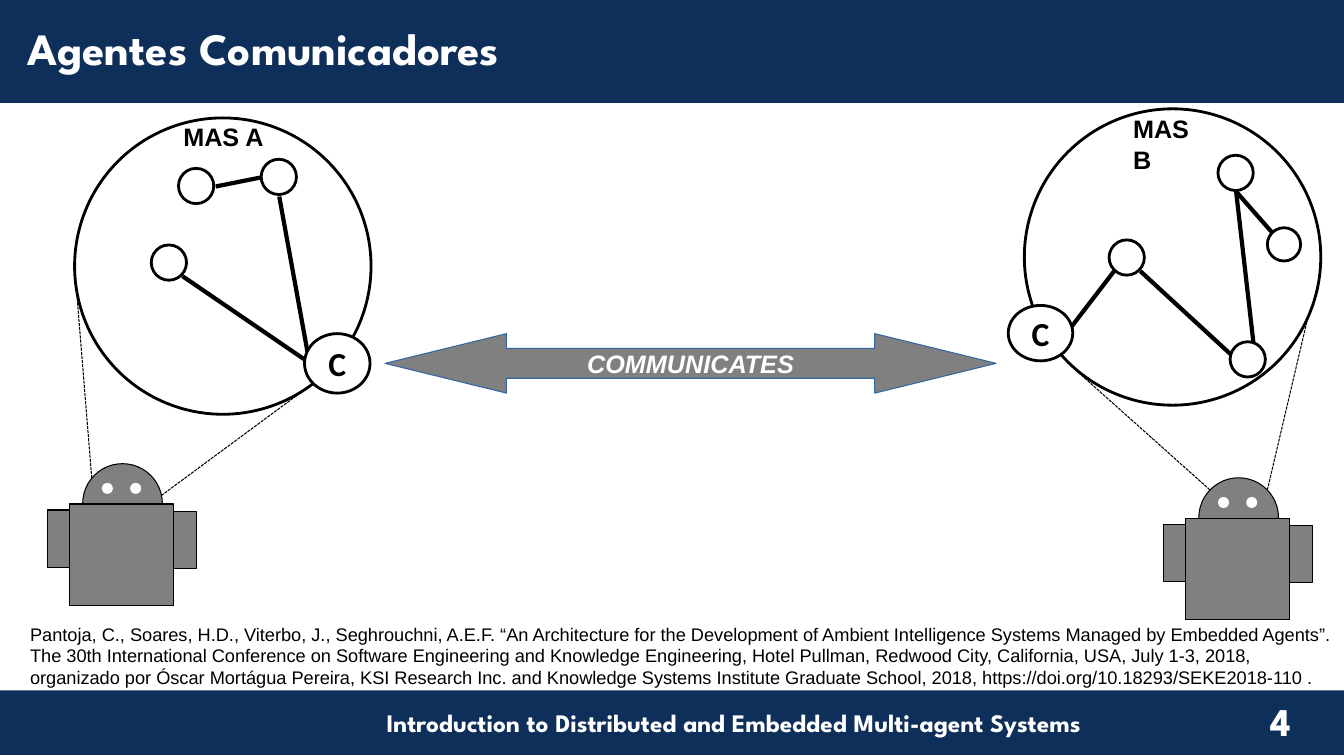
from lxml.etree import SubElement
from pptx import Presentation
from pptx.dml.color import RGBColor
from pptx.enum.dml import MSO_LINE
from pptx.enum.shapes import MSO_CONNECTOR, MSO_SHAPE
from pptx.enum.text import MSO_ANCHOR, PP_ALIGN
from pptx.oxml.ns import qn
from pptx.util import Inches, Pt

COLUMNS, ROWS = 133.3, 75
NAVY, GRAY, WHITE, BLACK = "0F2F5B", "808080", "FFFFFF", "000000"
CIRCLE_SIZE = 29.4
CITATION = (
    "Pantoja, C., Soares, H.D., Viterbo, J., Seghrouchni, A.E.F. “An Architecture for the "
    "Development of Ambient Intelligence Systems Managed by Embedded Agents”. The 30th "
    "International Conference on Software Engineering and Knowledge Engineering, Hotel Pullman, "
    "Redwood City, California, USA, July 1-3, 2018, organizado por Óscar Mortágua Pereira, "
    "KSI Research Inc. and Knowledge Systems Institute Graduate School, 2018, "
    "https://doi.org/10.18293/SEKE2018-110 ."
)


def cells(count):
    return Inches(count / 10)


def color(value):
    return RGBColor.from_string(value)


def write(box, text, size=18, font="Arial", ink=BLACK, bold=True, italic=False,
          align=PP_ALIGN.LEFT, anchor=MSO_ANCHOR.TOP):
    frame = box.text_frame
    frame.word_wrap = True
    frame.vertical_anchor = anchor
    para = frame.paragraphs[0]
    para.alignment = align
    span = para.add_run()
    span.text = text
    span.font.size = Pt(size)
    span.font.name = font
    span.font.bold = bold
    span.font.italic = italic
    span.font.color.rgb = color(ink)


def add_text(page, left, top, width, height, text, **style):
    box = page.shapes.add_textbox(*map(cells, (left, top, width, height)))
    write(box, text, **style)


def add_figure(page, kind, left, top, width, height, fill=WHITE, line=BLACK, weight=2):
    figure = page.shapes.add_shape(kind, *map(cells, (left, top, width, height)))
    figure.shadow.inherit = False
    figure.fill.solid()
    figure.fill.fore_color.rgb = color(fill)
    if line:
        figure.line.color.rgb = color(line)
        figure.line.width = Pt(weight)
    else:
        figure.line.fill.background()
    return figure


def add_link(page, start, end, weight=3, dash=None):
    link = page.shapes.add_connector(MSO_CONNECTOR.STRAIGHT, *map(cells, (*start, *end)))
    link.line.color.rgb = color(BLACK)
    link.line.width = Pt(weight)
    if dash:
        link.line.dash_style = dash
    SubElement(link.element.spPr, qn("a:effectLst"))


def shift(origin, point):
    return origin[0] + point[0], origin[1] + point[1]


def header(page, height):
    add_figure(page, MSO_SHAPE.RECTANGLE, 0, 0, COLUMNS, height, NAVY, None)
    title = page.shapes.title
    title.left, title.top, title.width, title.height = map(cells, (1.7, 1.6, COLUMNS - 1.7, 6.3))
    write(title, "Agentes Comunicadores", size=32, font="League Spartan", ink=WHITE)
    title.element.getparent().append(title.element)


def footer(page, top):
    style = dict(font="League Spartan", ink=WHITE, align=PP_ALIGN.CENTER)
    add_figure(page, MSO_SHAPE.RECTANGLE, 0, top, COLUMNS, 6.4, NAVY, None)
    add_text(page, 22.8, top + 1.2, 100, 4,
             "Introduction to Distributed and Embedded Multi-agent Systems", **style)
    add_text(page, 121.5, top + 0.2, 11, 6.3, "4", size=28, **style)


def robot(page, origin):
    def part(kind, left, top, width, height, fill=GRAY, line=BLACK):
        add_figure(page, kind, *shift(origin, (left, top)), width, height, fill, line, 0.75)

    for left, top in ((0, 4.6), (11.8, 4.7)):
        part(MSO_SHAPE.RECTANGLE, left, top, 3, 5.7)
    part(MSO_SHAPE.OVAL, 3.5, 0, 7.9, 7.9)
    for left in (5.4, 8.2):
        part(MSO_SHAPE.OVAL, left, 1.9, 1.1, 1.1, WHITE, None)
    part(MSO_SHAPE.RECTANGLE, 2.2, 4, 10.3, 10.1)


def agent_system(page, origin, robot_origin, sight_lines, links, agents, contact, label):
    for start, end in sight_lines:
        add_link(page, shift(robot_origin, start), shift(origin, end), 0.75, MSO_LINE.SQUARE_DOT)
    robot(page, robot_origin)
    add_figure(page, MSO_SHAPE.OVAL, *origin, CIRCLE_SIZE, CIRCLE_SIZE)
    for start, end in links:
        add_link(page, shift(origin, start), shift(origin, end))
    for left, top, size in agents:
        add_figure(page, MSO_SHAPE.OVAL, *shift(origin, (left, top)), size, size)
    left, top, width, height = contact
    communicator = add_figure(page, MSO_SHAPE.OVAL, *shift(origin, (left, top)), width, height)
    write(communicator, "C", size=24, font="Calibri", align=PP_ALIGN.CENTER,
          anchor=MSO_ANCHOR.MIDDLE)
    text, left, top, width = label
    add_text(page, *shift(origin, (left, top)), width, 4, text)


def channel(page, left, top, width, height):
    arrow = add_figure(page, MSO_SHAPE.LEFT_RIGHT_ARROW, left, top, width, height,
                       GRAY, "3465A4", 0)
    arrow.adjustments[0] = 0.5
    arrow.adjustments[1] = 2.04
    write(arrow, "COMMUNICATES", ink=WHITE, italic=True, align=PP_ALIGN.CENTER,
          anchor=MSO_ANCHOR.MIDDLE)


def main():
    deck = Presentation()
    deck.slide_width, deck.slide_height = cells(COLUMNS), cells(ROWS)
    page = deck.slides.add_slide(deck.slide_layouts[5])
    header(page, 10.2)
    footer(page, 68.5)
    agent_system(
        page, (7.4, 11.7), (4.7, 46),
        sight_lines=[((4.6, 3.9), (0, 14.7)), ((10.3, 3.9), (25.2, 25.2))],
        links=[((23.3, 24.3), (20.3, 7.8)), ((23.3, 24.3), (10.7, 15.7)),
               ((14, 6.8), (18.5, 5.9))],
        agents=[(7.6, 12.6, 3.5), (18.5, 4.1, 3.5), (10.3, 5, 3.5)],
        contact=(22.8, 21.4, 6.5, 5.9),
        label=("MAS A", 9.8, -0.2, 12),
    )
    agent_system(
        page, (101.6, 10.8), (115.4, 47.4),
        sight_lines=[((4.6, 1.2), (4.3, 25.2)), ((10.3, 1.2), (29.5, 14.8))],
        links=[((22.9, 24.8), (21, 8.2)), ((21.6, 25.4), (11.5, 16.1)),
               ((21, 8.2), (24.6, 12.3)), ((4.3, 22.1), (8.9, 16.1))],
        agents=[(8.4, 13, 3.5), (24.1, 11.8, 3.3), (19.2, 4.6, 3.5), (20.4, 23.1, 3.5)],
        contact=(-1.6, 19.5, 6.4, 5.5),
        label=("MAS B", 9.8, 0, 9),
    )
    channel(page, 38.2, 33.1, 60.6, 5.9)
    add_text(page, 2, 61.3, 130.9, 7, CITATION, size=13, bold=False)
    deck.save("out.pptx")


if __name__ == "__main__":
    main()
